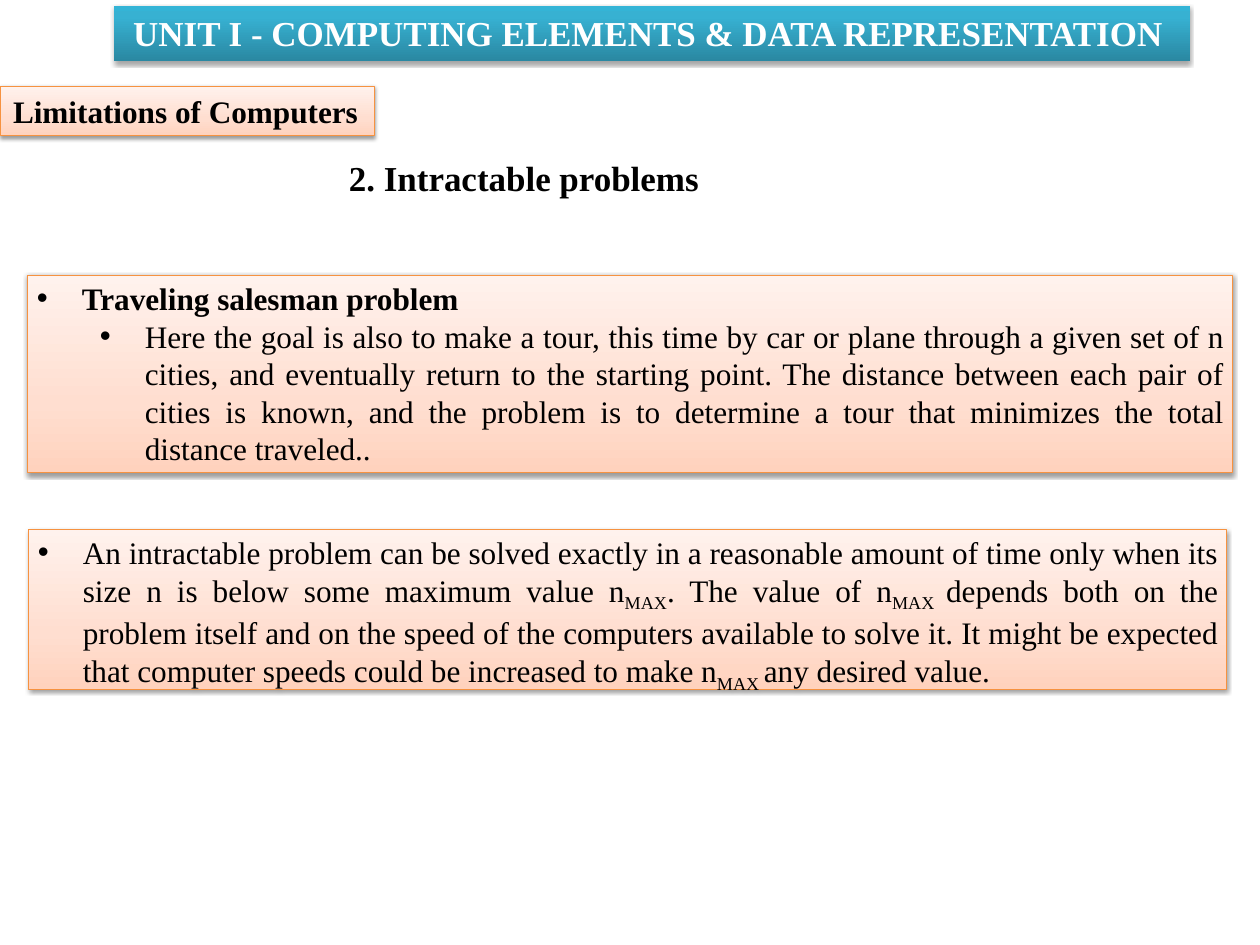
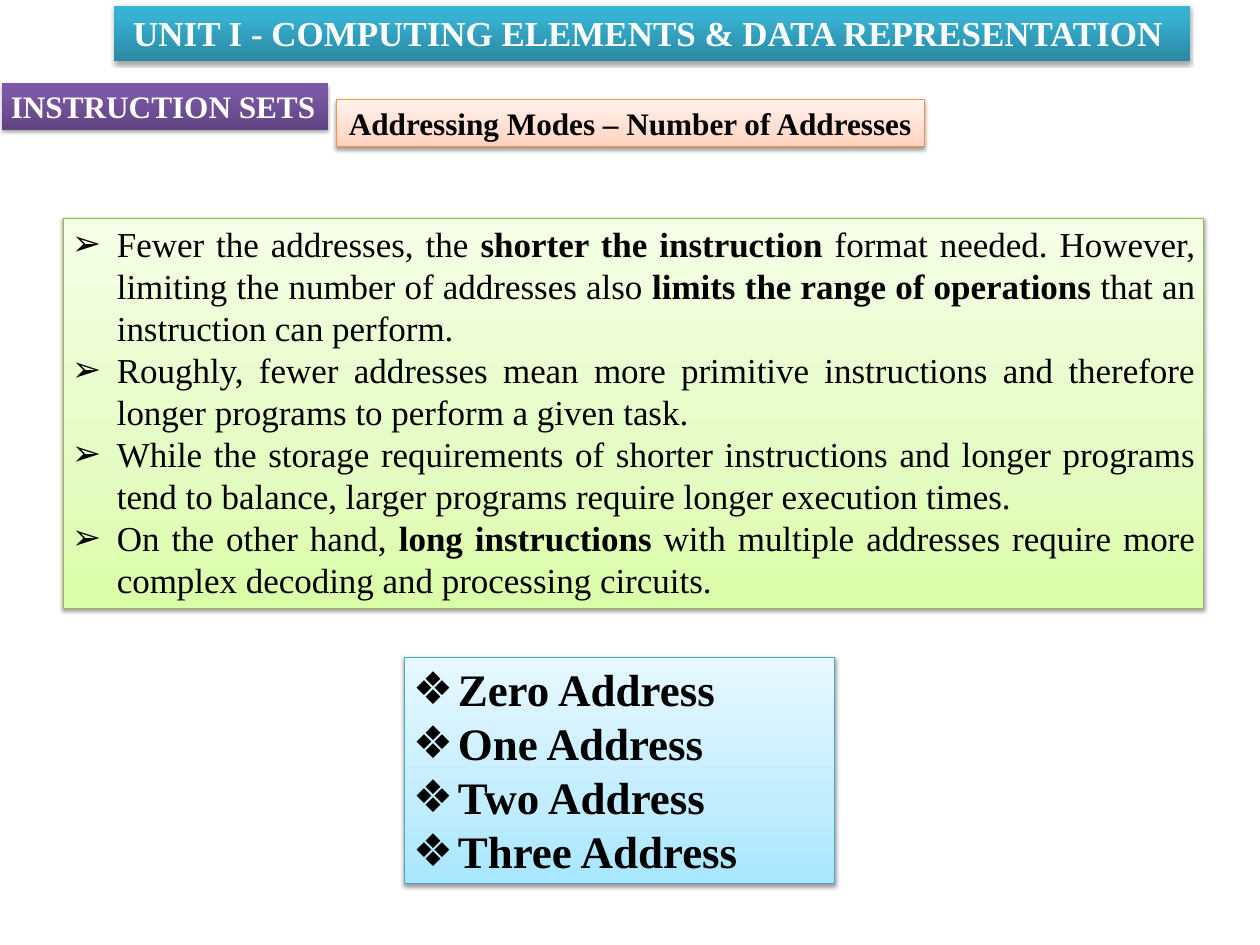
from lxml.etree import SubElement
from pptx import Presentation
from pptx.dml.color import RGBColor
from pptx.enum.shapes import MSO_SHAPE
from pptx.enum.text import MSO_ANCHOR, MSO_AUTO_SIZE, PP_ALIGN
from pptx.oxml.ns import qn
from pptx.util import Emu, Pt

COLORS = {"ink": "000000", "white": "FFFFFF", "shadow": "000000",
          "orange": "F69240", "green": "98B955", "aqua": "46AAC5"}
LIGHT, DARK = (0, 35, 100), (0, 80, 100)
GRADIENTS = {
    "peach": (LIGHT, ("FFD2BD", "FFDED0", "FFF2ED"), "orange"),
    "lime": (LIGHT, ("DAFDA7", "E4FCC2", "F5FFE7"), "green"),
    "sky": (LIGHT, ("A7E6FF", "C1EDFF", "E7F8FF"), "aqua"),
    "teal": (DARK, ("2A88A2", "37B1D2", "34B4D6"), None),
    "purple": (DARK, ("5F4480", "7B58A6", "7C57A8"), None),
}
WIDE = {"margin_left": 13, "margin_right": 13, "margin_top": 6, "margin_bottom": 6}
BOLD, SUB = {"bold": True}, {"baseline": -25000}


def px(n):
    """Turn whole pixels into EMU."""
    return Emu(n * 10160)


def xml(parent, tag, **attrs):
    """Append a drawing element to a parent."""
    return SubElement(parent, qn(tag), {k: str(v) for k, v in attrs.items()})


class Deck:
    """Hold the shared style and the current slide."""

    def __init__(self):
        """Start an empty presentation."""
        self.prs = Presentation()
        self.prs.slide_width, self.prs.slide_height = px(1260), px(945)
        self.font = "Times New Roman"

    def slide(self):
        """Add a blank slide with the unit banner."""
        self.s = self.prs.slides.add_slide(self.prs.slide_layouts[6])
        self.panel((114, 6, 1076, 55), "teal",
                   ["UNIT I - COMPUTING ELEMENTS & DATA REPRESENTATION "],
                   size=28, color="white", bold=True, align=PP_ALIGN.CENTER,
                   wrap=False, margins=WIDE)

    def panel(self, box, look, paras, **fmt):
        """Add a shaded rectangle with text."""
        sp = self.s.shapes.add_shape(MSO_SHAPE.RECTANGLE, *map(px, box))
        stops, hexes, edge = GRADIENTS[look]
        sp.fill.gradient()
        sp.fill.gradient_angle = 90
        gs_list = sp.element.spPr.find(qn("a:gradFill")).find(qn("a:gsLst"))
        gs_list.clear()
        for pos, color in zip(stops, hexes):
            xml(xml(gs_list, "a:gs", pos=pos * 1000), "a:srgbClr", val=color)
        if edge:
            sp.line.color.rgb = RGBColor.from_string(COLORS[edge])
            sp.line.width = Pt(0.75)
        else:
            sp.line.fill.background()
        self.shadow(sp, *((38, 1.6) if edge else (35, 1.8)))
        self.paragraphs(sp.text_frame, paras, **fmt)

    def shadow(self, sp, alpha, dist):
        """Give a shape a soft shadow below it."""
        sp.shadow.inherit = False
        outer = xml(sp.element.spPr.find(qn("a:effectLst")), "a:outerShdw",
                    blurRad=Pt(3.1), dist=Pt(dist), dir=5400000, rotWithShape=0)
        color = xml(outer, "a:srgbClr", val=COLORS["shadow"])
        xml(color, "a:alpha", val=alpha * 1000)

    def text(self, box, paras, **fmt):
        """Add a plain text box."""
        sp = self.s.shapes.add_textbox(*map(px, box))
        self.paragraphs(sp.text_frame, paras, **fmt)

    def paragraphs(self, tf, paras, size=25, color="ink", bold=False, wrap=True,
                   align=PP_ALIGN.LEFT, bullet=None, hang=0, margins=None, alt=BOLD):
        """Fill a frame; parts between bars take the alternate format."""
        frame = {"word_wrap": wrap, "auto_size": MSO_AUTO_SIZE.SHAPE_TO_FIT_TEXT,
                 "vertical_anchor": MSO_ANCHOR.TOP}
        frame.update({k: px(v) for k, v in (margins or {}).items()})
        for name, value in frame.items():
            setattr(tf, name, value)
        for i, item in enumerate(paras):
            line, level = item if isinstance(item, tuple) else (item, 0)
            p = tf.paragraphs[0] if i == 0 else tf.add_paragraph()
            p.alignment, p.level = align, level
            pPr = p._p.get_or_add_pPr()
            if hang:
                pPr.set("marL", str(px(hang + 63 * level)))
                pPr.set("indent", str(px(-hang)))
            if bullet:
                xml(pPr, "a:buFont", typeface="Arial")
                xml(pPr, "a:buChar", char=bullet)
            for j, part in enumerate(line.split("|")):
                if part:
                    self.words(p, part, size, color, bold, alt if j % 2 else {})

    def words(self, p, content, size, color, bold, extra):
        """Add one formatted run."""
        r = p.add_run()
        r.text = content
        fmt = {"name": self.font, "size": Pt(size), "bold": bold, **extra}
        baseline = fmt.pop("baseline", None)
        for name, value in fmt.items():
            setattr(r.font, name, value)
        r.font.color.rgb = RGBColor.from_string(COLORS[color])
        if baseline:
            r._r.get_or_add_rPr().set("baseline", str(baseline))


def main():
    """Build both slides."""
    label = {"bold": True, "wrap": False}
    listing = {"align": PP_ALIGN.JUSTIFY, "hang": 45}
    d = Deck()

    d.slide()
    d.panel((0, 86, 374, 50), "peach", ["Limitations of Computers"],
            margins=WIDE, **label)
    d.text((340, 152, 372, 51), ["2. Intractable problems"], size=28, hang=45, **label)
    d.panel((28, 275, 1205, 198), "peach", [
        "|Traveling salesman problem|",
        ("Here the goal is also to make a tour, this time by car or plane through "
         "a given set of n cities, and eventually return to the starting point. "
         "The distance between each pair of cities is known, and the problem is to "
         "determine a tour that minimizes the total distance traveled..", 1),
    ], bullet="•", **listing)
    d.panel((29, 529, 1198, 160), "peach", [
        "An intractable problem can be solved exactly in a reasonable amount of time "
        "only when its size n is below some maximum value n|MAX|. The value of n|MAX |"
        "depends both on the problem itself and on the speed of the computers "
        "available to solve it. It might be expected that computer speeds could be "
        "increased to make n|MAX |any desired value.",
    ], bullet="•", alt=SUB, **listing)

    d.slide()
    d.panel((2, 83, 326, 47), "purple", ["INSTRUCTION SETS"], color="white",
            hang=45, **label)
    d.panel((336, 100, 588, 47), "peach", ["Addressing Modes – Number of Addresses"],
            align=PP_ALIGN.CENTER, **label)
    d.panel((63, 218, 1141, 391), "lime", [
        "Fewer the addresses, the |shorter the instruction |format needed. However, "
        "limiting the number of addresses also |limits the range of operations |"
        "that an instruction can perform.",
        "Roughly, fewer addresses mean more primitive instructions and therefore "
        "longer programs to perform a given task. ",
        "While the storage requirements of shorter instructions and longer programs "
        "tend to balance, larger programs require longer execution times. ",
        "On the other hand, |long instructions |with multiple addresses require more "
        "complex decoding and processing circuits.",
    ], size=28, bullet="➢", **listing)
    d.panel((404, 657, 431, 227), "sky",
            [f"{n} Address" for n in ("Zero", "One", "Two", "Three")],
            size=36, bold=True, bullet="❖", **listing)

    d.prs.save("out.pptx")


if __name__ == "__main__":
    main()
